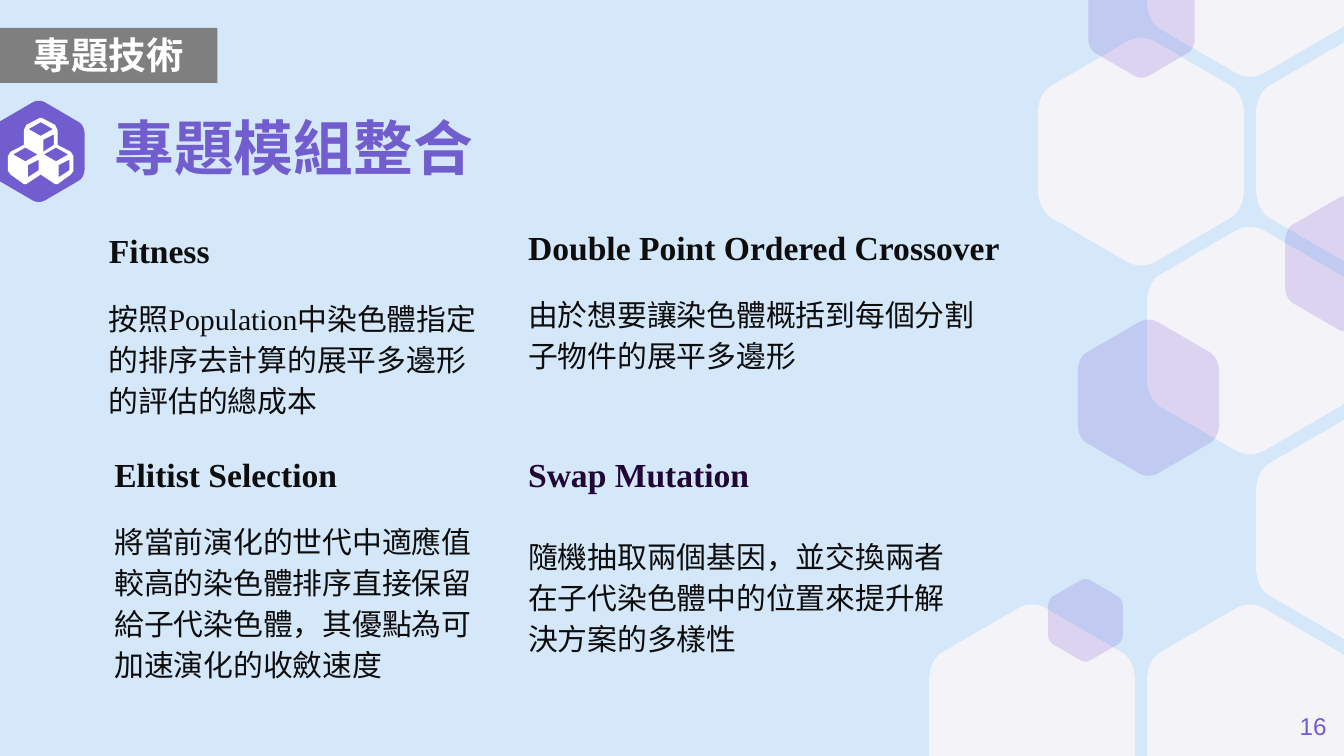
from dataclasses import dataclass

from lxml import etree
from pptx import Presentation
from pptx.dml.color import RGBColor
from pptx.enum.shapes import MSO_SHAPE
from pptx.enum.text import MSO_ANCHOR, MSO_AUTO_SIZE, PP_ALIGN
from pptx.oxml.ns import qn
from pptx.util import Cm, Pt

LEFT, CENTER, RIGHT = PP_ALIGN.LEFT, PP_ALIGN.CENTER, PP_ALIGN.RIGHT
TOP, MIDDLE = MSO_ANCHOR.TOP, MSO_ANCHOR.MIDDLE
NO_AUTOFIT = MSO_AUTO_SIZE.NONE
RECTANGLE = MSO_SHAPE.RECTANGLE


@dataclass(frozen=True)
class Theme:
    background: str = "D5E8F9"
    accent: str = "725DCF"
    pale: str = "F4F3F8"
    violet: str = "5322C9"
    bar: str = "7F7F7F"
    white: str = "FFFFFF"
    ink: str = "0D0D0D"
    plum: str = "210635"
    title_size: int = 32
    label_size: int = 20
    heading_size: int = 18
    body_size: int = 16
    number_size: int = 13
    sans: str = "Arial"
    serif: str = "Times New Roman"
    label_font: str = "Lato"


THEME = Theme()
SLIDE_WIDTH, SLIDE_HEIGHT = 25.4, 14.29
HEXAGON_RATIO = 1.1
SIDE_CORNER = [(1, 0.33), (1, 0.27), (0.97, 0.22), (0.92, 0.2)]
TOP_CORNER = [(0.58, 0.02), (0.53, -0.01), (0.47, -0.01), (0.42, 0.02)]
GRID_CELLS = [(0, 4), (2, 4), (3, 1), (2, 0), (2, 2), (1, 1), (3, 3)]
SMALL_HEXAGONS = [(24.29, 3.71, 2.32), (19.81, 10.95, 1.41),
                  (20.57, -0.75, 2.01), (20.37, 6.05, 2.67)]
ICON_AXIS = 0.77
ICON_HALF = [(0.02, 2.23), (0.27, 2.36), (0.32, 2.46), (0.32, 2.74),
             (0.57, 2.87), (0.62, 2.95), (0.62, 3.23), (0.57, 3.3),
             (0.32, 3.48), (0.27, 3.48), (0, 3.3)]
CUBE_CENTERS = [(0.77, 2.44), (0.48, 2.92), (1.06, 2.92)]
CUBE_FACES = [[(0, -0.13), (0.23, 0), (0, 0.13), (-0.23, 0)],
              [(0.25, 0.1), (0.05, 0.2), (0.05, 0.43), (0.25, 0.3)]]


def paint(shape, color, opacity=None):
    shape.shadow.inherit = False
    shape.line.fill.background()
    shape.fill.solid()
    shape.fill.fore_color.rgb = RGBColor.from_string(color)
    if opacity is not None:
        tint = shape.fill._xPr.find(".//" + qn("a:srgbClr"))
        etree.SubElement(tint, qn("a:alpha")).set("val", str(opacity * 1000))


def add_outline(page, contours, color, opacity=None):
    contours = [[(Cm(x), Cm(y)) for x, y in contour] for contour in contours]
    builder = page.shapes.build_freeform(*contours[0][0], scale=1.0)
    builder.add_line_segments(contours[0][1:], close=True)
    for contour in contours[1:]:
        builder.move_to(*contour[0])
        builder.add_line_segments(contour[1:], close=True)
    paint(builder.convert_to_shape(), color, opacity)


def curve(controls, steps=8):
    points = []
    for step in range(steps + 1):
        t = step / steps
        weights = ((1 - t) ** 3, 3 * t * (1 - t) ** 2, 3 * t * t * (1 - t), t ** 3)
        points.append(tuple(sum(weight * control[axis] for weight, control in zip(weights, controls))
                            for axis in (0, 1)))
    return points


def add_hexagon(page, left, top, width, color, opacity=None):
    side = curve(SIDE_CORNER)
    upper = side + curve(TOP_CORNER) + [(1 - x, y) for x, y in reversed(side)]
    unit = upper + [(x, 1 - y) for x, y in reversed(upper)]
    height = width * HEXAGON_RATIO
    points = [(left + x * width, min(max(top + y * height, 0), SLIDE_HEIGHT)) for x, y in unit]
    add_outline(page, [points], color, opacity)


def add_cubes_icon(page):
    outline = [(ICON_AXIS + x, y) for x, y in ICON_HALF]
    outline += [(ICON_AXIS - x, y) for x, y in reversed(ICON_HALF)]
    faces = [[(center_x + x, center_y + y) for x, y in face]
             for center_x, center_y in CUBE_CENTERS for face in CUBE_FACES]
    add_outline(page, [outline] + faces, THEME.white)


def place(shape, left, top, width, height):
    shape.left, shape.top = Cm(left), Cm(top)
    shape.width, shape.height = Cm(width), Cm(height)


def add_text_box(page, bounds):
    return page.shapes.add_textbox(*(Cm(length) for length in bounds))


def use_placeholder(page, index, bounds):
    box = next(item for item in page.placeholders if item.placeholder_format.idx == index)
    place(box, *bounds)
    page.shapes.element.append(box.element)
    return box


def prepare_frame(box, anchor=TOP):
    frame = box.text_frame
    frame.word_wrap = True
    frame.auto_size = NO_AUTOFIT
    frame.vertical_anchor = anchor
    frame.margin_left = frame.margin_right = frame.margin_top = frame.margin_bottom = 0
    return frame


def write(para, text, *, size, color, font, bold=False, align=LEFT, spacing=1.0, before=0):
    para.alignment = align
    para.line_spacing = spacing
    para.space_before, para.space_after = Pt(before), Pt(0)
    properties = para._p.get_or_add_pPr()
    properties.set("marL", "0")
    properties.set("indent", "0")
    etree.SubElement(properties, qn("a:buNone"))
    span = para.add_run()
    span.text = text
    span.font.size = Pt(size)
    span.font.name = font
    span.font.bold = bold
    span.font.color.rgb = RGBColor.from_string(color)


def write_topic(box, heading, body, heading_color=THEME.ink, gap=13):
    frame = prepare_frame(box)
    write(frame.paragraphs[0], heading, size=THEME.heading_size, color=heading_color,
          font=THEME.serif, bold=True, spacing=1.15)
    write(frame.add_paragraph(), body, size=THEME.body_size, color=THEME.ink,
          font=THEME.serif, spacing=1.15, before=gap)


def add_backdrop(page):
    page.background.fill.solid()
    page.background.fill.fore_color.rgb = RGBColor.from_string(THEME.background)
    add_hexagon(page, -0.13, 1.91, 1.73, THEME.accent)
    for column, row in GRID_CELLS:
        add_hexagon(page, 17.56 + 2.06 * column, -2.84 + 3.57 * row, 3.89, THEME.pale)
    for left, top, width in SMALL_HEXAGONS:
        add_hexagon(page, left, top, width, THEME.violet, opacity=15)


def add_section_label(page, text):
    bar = page.shapes.add_shape(RECTANGLE, Cm(0), Cm(0.53), Cm(4.11), Cm(1.04))
    paint(bar, THEME.bar)
    frame = prepare_frame(add_text_box(page, (0, 0.61, 4.11, 0.89)))
    write(frame.paragraphs[0], text, size=THEME.label_size, color=THEME.white,
          font=THEME.label_font, bold=True, align=CENTER)


def main():
    deck = Presentation()
    deck.slide_width, deck.slide_height = Cm(SLIDE_WIDTH), Cm(SLIDE_HEIGHT)
    page = deck.slides.add_slide(deck.slide_layouts.get_by_name("Comparison"))
    add_backdrop(page)

    title = prepare_frame(use_placeholder(page, 0, (2.16, 2.31, 18.54, 1.09)), MIDDLE)
    write(title.paragraphs[0], "專題模組整合", size=THEME.title_size, color=THEME.accent,
          font=THEME.sans, bold=True, spacing=0.9)
    write_topic(use_placeholder(page, 1, (2.16, 8.46, 7.26, 4.88)), "Elitist Selection",
                "將當前演化的世代中適應值較高的染色體排序直接保留給子代染色體，其優點為可加速演化的收斂速度")
    write_topic(use_placeholder(page, 2, (9.98, 4.17, 8.97, 9.07)),
                "Double Point Ordered Crossover", "由於想要讓染色體概括到每個分割子物件的展平多邊形")
    write_topic(use_placeholder(page, 3, (9.98, 8.46, 8.43, 5)), "Swap Mutation",
                "隨機抽取兩個基因，並交換兩者在子代染色體中的位置來提升解決方案的多樣性",
                heading_color=THEME.plum, gap=21)
    for box in list(page.placeholders):
        if not box.text_frame.text:
            page.shapes.element.remove(box.element)

    number = prepare_frame(add_text_box(page, (23.55, 13.18, 1.52, 1.09)), MIDDLE)
    write(number.paragraphs[0], "16", size=THEME.number_size, color=THEME.accent,
          font=THEME.sans, align=RIGHT)
    add_section_label(page, "專題技術")
    add_cubes_icon(page)
    write_topic(add_text_box(page, (2.06, 4.24, 7.26, 4.14)), "Fitness",
                "按照Population中染色體指定的排序去計算的展平多邊形的評估的總成本")
    deck.save("out.pptx")


if __name__ == "__main__":
    main()
